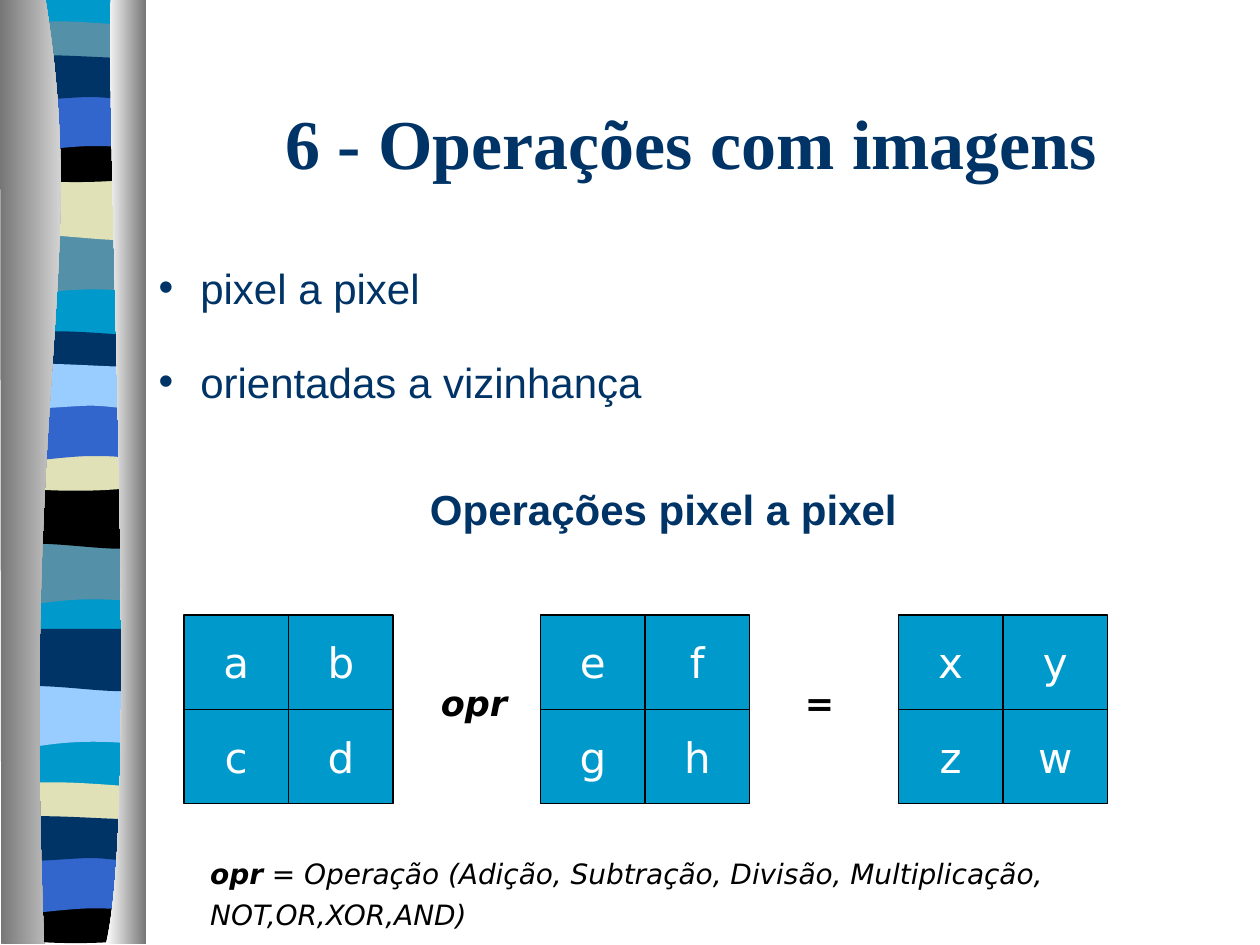
"""Build the slide on pixel-by-pixel image operations."""
from dataclasses import dataclass

from lxml import etree
from pptx import Presentation
from pptx.dml.color import RGBColor
from pptx.enum.shapes import MSO_SHAPE
from pptx.enum.text import MSO_ANCHOR, MSO_AUTO_SIZE, PP_ALIGN
from pptx.oxml.ns import qn
from pptx.util import Inches, Pt

RECT = MSO_SHAPE.RECTANGLE
MIDDLE, TOP = MSO_ANCHOR.MIDDLE, MSO_ANCHOR.TOP
CENTER, LEFT = PP_ALIGN.CENTER, PP_ALIGN.LEFT
FIXED = MSO_AUTO_SIZE.NONE

COLORS = {
    "navy": "003366", "cyan": "0099CC", "teal": "5490A8", "sand": "E1E1B7",
    "black": "000000", "blue": "3366CC", "sky": "99CCFF", "white": "FFFFFF",
    "gray": "767676",
}

FORMS = {
    "wave": [(1.14, 0), (1.14, .47), (.39, .39, .24, .55, .06, .47), (.06, 0)],
    "arch": [(1.14, 0), (1.14, .47), (.96, .55, .39, .41, .06, .47), (.06, 0)],
    "lens": [(1.14, .05), (1.14, .29), (.96, .33, .24, .33, .06, .29), (.06, .05),
             (.12, 0, .29, .01, .47, .01), (.65, .01, 1, .04, 1.14, .05)],
    "bowl": [(1.14, 0), (1.14, .32), (.96, .38, .24, .38, .06, .32), (.06, 0),
             (.72, .05, .91, 0, 1.14, 0)],
    "cape": [(1.14, 0), (1.14, .47), (.97, .42, .9, .42, .72, .42),
             (.54, .42, .22, .47, .06, .47), (.06, 0)],
    "sheet": [(1.14, .05), (1.14, .36), (1.07, .41, .9, .36, .72, .36),
              (.54, .36, .17, .41, .06, .36), (.06, .05),
              (.21, 0, .79, .05, .97, .05), (1.15, .05, 1.1, .05, 1.14, .05)],
    "back": [(1.14, 0), (1.14, 7.48), (.06, 7.48), (.06, 0)],
    "left": [(.36, 0), (.71, 2.17, .17, 2.97, .35, 7.5), (.01, 7.5), (0, 0)],
    "right": [(.88, 0), (.84, 1.26, 1.11, 6.47, .84, 7.5), (1.16, 7.5), (1.16, 0)],
}


@dataclass
class Band:
    form: str
    top: float
    color: str


@dataclass
class Grid:
    left: float
    marks: str


@dataclass
class Label:
    text: str
    box: tuple
    size: int
    font: str = "DejaVu Sans"
    color: str = "black"
    bold: bool = True
    slant: bool = True
    align: PP_ALIGN = LEFT


BANDS = [
    Band("back", -.01, "cyan"),
    Band("wave", 1.85, "teal"), Band("arch", 1.41, "sand"),
    Band("lens", .16, "teal"), Band("bowl", 1.08, "black"),
    Band("cape", .74, "blue"), Band("sheet", .41, "navy"),
    Band("wave", 4.31, "teal"), Band("arch", 3.86, "black"),
    Band("lens", 2.62, "navy"), Band("bowl", 3.53, "sand"),
    Band("cape", 3.2, "blue"), Band("sheet", 2.86, "sky"),
    Band("wave", 5.44, "sky"), Band("arch", 4.99, "navy"),
    Band("lens", 6.2, "sand"), Band("bowl", 7.12, "black"),
    Band("cape", 6.79, "blue"), Band("sheet", 6.45, "navy"),
]
RAILS = [("left", "gray", "white"), ("right", "white", "gray")]
GRIDS = [Grid(1.46, "abcd"), Grid(4.29, "efgh"), Grid(7.13, "xyzw")]
GRID_TOP, CELL_W, CELL_H = 4.88, .83, .75
LABELS = [
    Label("opr", (3.4, 5.36, .83, .44), 20),
    Label("=", (6.29, 5.36, .5, .44), 20),
    Label("Operações pixel a pixel", (.89, 3.79, 8.75, .5), 24, "Arial", "navy",
          slant=False, align=CENTER),
]


def paint(name: str) -> RGBColor:
    """Return the named colour."""
    return RGBColor.from_string(COLORS[name])


def style(font, face: str, size: int, color: str, bold=False, slant=False) -> None:
    """Format a font."""
    font.name, font.size = face, Pt(size)
    font.bold, font.italic = bold, slant
    font.color.rgb = paint(color)


def place(shape, box: tuple) -> None:
    """Move and size a shape."""
    shape.left, shape.top, shape.width, shape.height = map(Inches, box)


def bend(shape, segs: list) -> None:
    """Join the three lines of each curved segment into one Bezier curve."""
    lines = iter(list(shape.element.iter(qn("a:lnTo"))))
    for seg in segs:
        first = next(lines)
        if len(seg) == 6:
            first.tag = qn("a:cubicBezTo")
            for line in (next(lines), next(lines)):
                first.append(line[0])
                line.getparent().remove(line)


def draw_form(shapes, form: str, top: float):
    """Draw a closed outline without a line."""
    segs = FORMS[form]
    start, *rest = [(Inches(seg[i]), Inches(seg[i + 1] + top))
                    for seg in segs for i in range(0, len(seg), 2)]
    pen = shapes.build_freeform(*start)
    pen.add_line_segments(rest, close=True)
    shape = pen.convert_to_shape()
    bend(shape, segs[1:])
    shape.shadow.inherit = False
    shape.line.fill.background()
    return shape


def draw_side(shapes) -> None:
    """Draw the striped ribbon between its two rails."""
    side = shapes.add_group_shape().shapes
    for band in BANDS:
        fill = draw_form(side, band.form, band.top).fill
        fill.solid()
        fill.fore_color.rgb = paint(band.color)
    for form, *ends in RAILS:
        fill = draw_form(side, form, -.01).fill
        fill.gradient()
        fill.gradient_angle = 0
        for stop, color in zip(fill.gradient_stops, ends):
            stop.color.rgb = paint(color)


def draw_grid(shapes, grid: Grid) -> None:
    """Draw a two by two block of pixels."""
    group = shapes.add_group_shape().shapes
    for i, mark in enumerate(grid.marks):
        row, col = divmod(i, 2)
        box = (grid.left + col * CELL_W, GRID_TOP + row * CELL_H, CELL_W, CELL_H)
        cell = group.add_shape(RECT, *map(Inches, box))
        cell.shadow.inherit = False
        cell.fill.solid()
        cell.fill.fore_color.rgb = paint("cyan")
        cell.line.color.rgb = paint("black")
        cell.line.width = Pt(.75)
        frame = cell.text_frame
        frame.text, frame.word_wrap = mark, False
        frame.vertical_anchor = MIDDLE
        para = frame.paragraphs[0]
        para.alignment = CENTER
        style(para.runs[0].font, "DejaVu Sans", 24, "white")


def draw_label(shapes, label: Label):
    """Draw a text box and return its paragraph."""
    frame = shapes.add_textbox(*map(Inches, label.box)).text_frame
    frame.text, frame.word_wrap = label.text, True
    para = frame.paragraphs[0]
    para.alignment = label.align
    style(para.runs[0].font, label.font, label.size, label.color,
          label.bold, label.slant)
    return para


def fill_title(title) -> None:
    """Fill the title placeholder."""
    place(title, (1.17, .5, 8.5, 1.25))
    frame = title.text_frame
    frame.text = "6 - Operações com imagens"
    frame.vertical_anchor, frame.auto_size = MIDDLE, FIXED
    frame.margin_left = Inches(.23)
    frame.paragraphs[0].alignment = CENTER
    style(frame.paragraphs[0].runs[0].font, "Times New Roman", 40, "navy", True)


def fill_list(body) -> None:
    """Fill the body placeholder with bullets."""
    place(body, (1.16, 2.03, 8.75, 1.25))
    frame = body.text_frame
    frame.text = "pixel a pixel\norientadas a vizinhança"
    frame.vertical_anchor, frame.auto_size = TOP, FIXED
    for i, para in enumerate(frame.paragraphs):
        para.space_before = Pt(25 * i)
        props = para._p.get_or_add_pPr()
        props.set("marL", str(Inches(.33)))
        props.set("indent", str(-Inches(.33)))
        etree.SubElement(props, qn("a:buChar"), char="•")
        style(para.runs[0].font, "Arial", 24, "navy")


def main() -> None:
    """Build and save the slide."""
    deck = Presentation()
    deck.slide_width, deck.slide_height = Inches(10), Inches(7.5)
    slide = deck.slides.add_slide(deck.slide_layouts[1])
    shapes = slide.shapes
    title, body = shapes.title, slide.placeholders[1]
    draw_side(shapes)
    shapes.element.extend([title.element, body.element])
    fill_title(title)
    fill_list(body)
    for grid in GRIDS:
        draw_grid(shapes, grid)
    for label in LABELS:
        draw_label(shapes, label)
    note = draw_label(shapes, Label("opr", (1.57, 6.69, 7.9, .7), 16))
    note.line_spacing = 1.22
    run = note.add_run()
    run.text = " = Operação (Adição, Subtração, Divisão, Multiplicação, NOT,OR,XOR,AND)"
    style(run.font, "DejaVu Sans", 16, "black", slant=True)
    deck.save("out.pptx")


if __name__ == "__main__":
    main()
